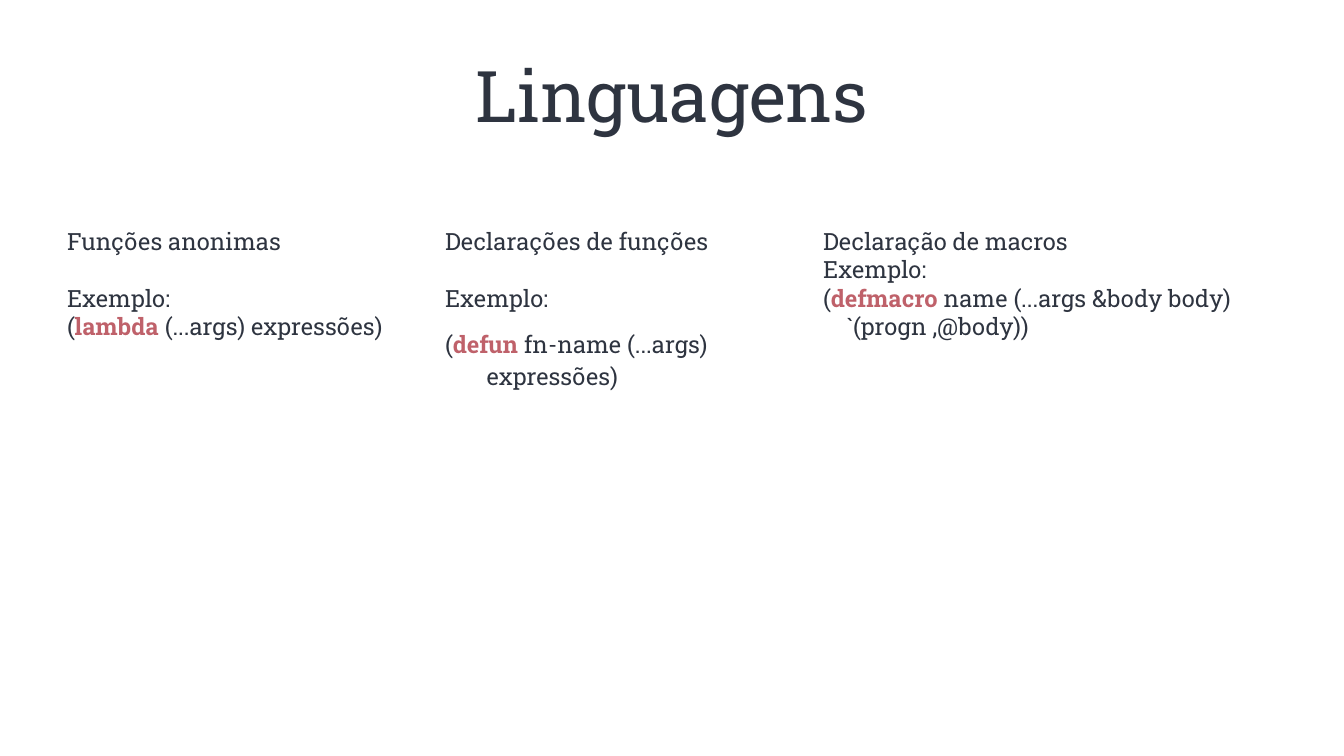
from dataclasses import dataclass

from pptx import Presentation
from pptx.dml.color import RGBColor
from pptx.enum.shapes import MSO_SHAPE
from pptx.enum.text import MSO_ANCHOR, PP_ALIGN
from pptx.util import Inches, Pt


@dataclass(frozen=True)
class Theme:
    """Colours, font and type sizes of the deck."""
    ink: str = "2E3440"
    key: str = "BF616A"
    paper: str = "FFFFFF"
    font: str = "Roboto Slab"
    title: int = 42
    body: int = 14
    line: float = 16.6


@dataclass(frozen=True)
class Line:
    """One line of text, with its keyword, indent and spacing."""
    text: str
    key: str = ""
    indent: float = 0
    before: float = 0
    after: float = 0


THEME = Theme()
WIDE, HIGH = 11.02, 6.2
LEFT, TOP, STEP = 0.55, 1.86, 3.1

COLUMNS = [
    (2.7, 1.82, [
        Line("Funções anonimas", after=THEME.line),
        Line("Exemplo:"),
        Line("( (...args) expressões)", "lambda"),
    ]),
    (2.7, 2.47, [
        Line("Declarações de funções", after=THEME.line),
        Line("Exemplo:", after=9.9),
        Line("( fn-name (...args)", "defun", before=0.7, after=1.4),
        Line("expressões)", indent=0.34, before=0.7, after=1.4),
    ]),
    (3.75, 1.99, [
        Line("Declaração de macros"),
        Line("Exemplo:"),
        Line("( name (...args &body body)", "defmacro"),
        Line("`(progn ,@body))", indent=0.19),
    ]),
]


def clear(frame, anchor):
    """Wrap the text, drop the insets and set the anchor."""
    frame.word_wrap = True
    frame.margin_left = frame.margin_right = 0
    frame.margin_top = frame.margin_bottom = 0
    frame.vertical_anchor = anchor
    return frame


def style(run, size, color, bold=False):
    """Give a run its font, size, colour and weight."""
    font = run.font
    font.name, font.size, font.bold = THEME.font, Pt(size), bold
    font.color.rgb = RGBColor.from_string(color)


def add_title(slide, box, text):
    """Centre the title in its box."""
    shape = slide.shapes.add_textbox(*map(Inches, box))
    frame = clear(shape.text_frame, MSO_ANCHOR.MIDDLE)
    frame.text = text
    para = frame.paragraphs[0]
    para.alignment = PP_ALIGN.CENTER
    style(para.runs[0], THEME.title, THEME.ink)


def add_line(para, line):
    """Write one line, its keyword after the opening bracket."""
    parts = [line.text[0], line.key, line.text[1:]] if line.key else [line.text]
    for part in parts:
        run = para.add_run()
        run.text = part
        bold = part == line.key
        style(run, THEME.body, THEME.key if bold else THEME.ink, bold)
    para.alignment = PP_ALIGN.LEFT
    para.space_before, para.space_after = Pt(line.before), Pt(line.after)
    if line.indent:
        para._p.get_or_add_pPr().set("marL", str(Inches(line.indent)))


def add_column(slide, box, lines):
    """Stack the lines of one column on a plain panel."""
    panel = slide.shapes.add_shape(MSO_SHAPE.RECTANGLE, *map(Inches, box))
    panel.shadow.inherit = False
    panel.fill.solid()
    panel.fill.fore_color.rgb = RGBColor.from_string(THEME.paper)
    panel.line.fill.background()
    frame = clear(panel.text_frame, MSO_ANCHOR.TOP)
    for i, line in enumerate(lines):
        add_line(frame.add_paragraph() if i else frame.paragraphs[0], line)


def main():
    """Build the slide and save it."""
    deck = Presentation()
    deck.slide_width, deck.slide_height = Inches(WIDE), Inches(HIGH)
    slide = deck.slides.add_slide(deck.slide_layouts[6])
    add_title(slide, (LEFT, 0.25, WIDE - 2 * LEFT, 1.04), "Linguagens")
    for i, (wide, high, lines) in enumerate(COLUMNS):
        add_column(slide, (LEFT + i * STEP, TOP, wide, high), lines)
    deck.save("out.pptx")


if __name__ == "__main__":
    main()
